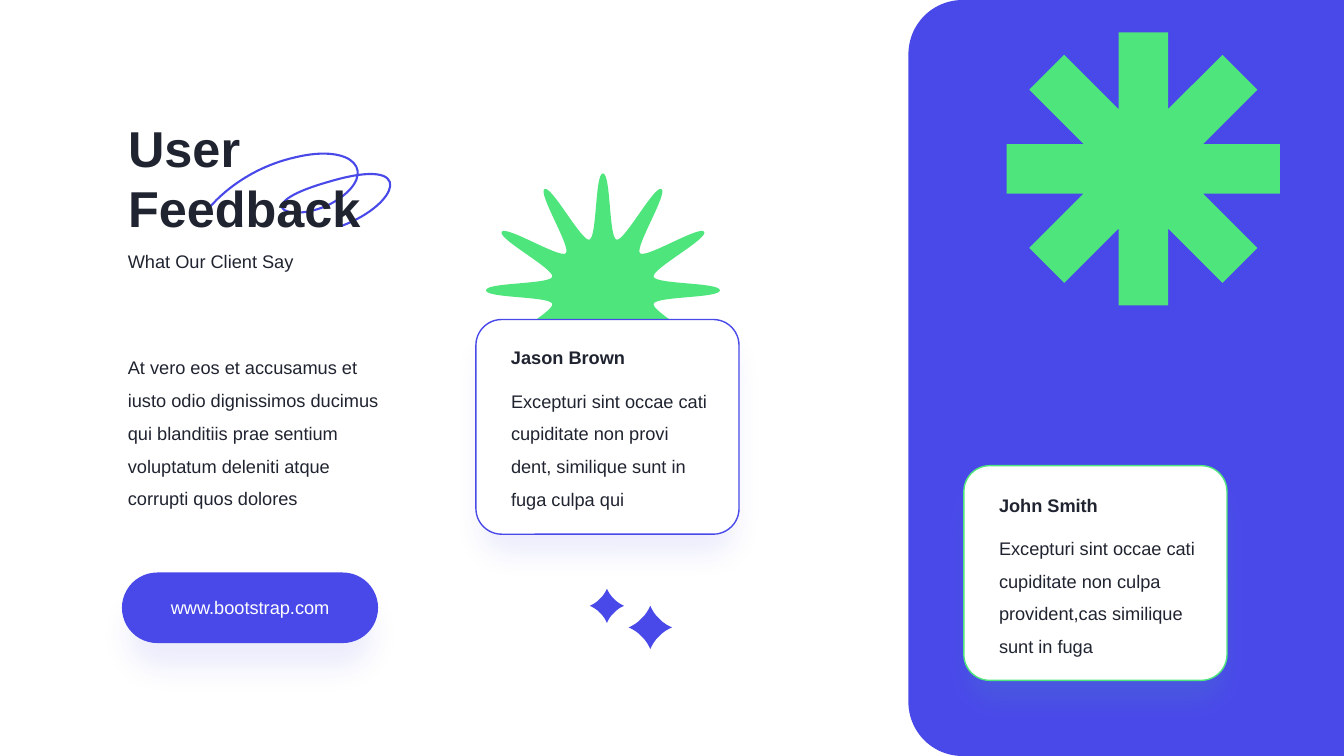
import math

from lxml import etree
from pptx import Presentation
from pptx.dml.color import RGBColor
from pptx.enum.shapes import MSO_SHAPE
from pptx.enum.text import MSO_ANCHOR, MSO_AUTO_SIZE, PP_ALIGN
from pptx.oxml.ns import qn
from pptx.util import Inches, Pt

ROUNDED = MSO_SHAPE.ROUNDED_RECTANGLE
TOP_ROUNDED = MSO_SHAPE.ROUND_2_SAME_RECTANGLE
LEFT, CENTER = PP_ALIGN.LEFT, PP_ALIGN.CENTER
TOP = MSO_ANCHOR.TOP
GROW = MSO_AUTO_SIZE.SHAPE_TO_FIT_TEXT

BLUE = RGBColor(0x49, 0x49, 0xEA)
GREEN = RGBColor(0x4E, 0xE5, 0x7C)
DARK = RGBColor(0x20, 0x24, 0x30)
WHITE = RGBColor(0xFF, 0xFF, 0xFF)
FONT = "Arial"


def turned(center, angle, along, across):
    """Point at a distance along and across the ray that leaves center at angle (degrees)."""
    cos, sin = math.cos(math.radians(angle)), math.sin(math.radians(angle))
    return (center[0] + along * cos - across * sin, center[1] + along * sin + across * cos)


def bend(shape, points, box):
    """Turn the outline into cubic curves (a start, then three points for each) inside box."""
    shape.left, shape.top, shape.width, shape.height = box
    outline = shape.element.spPr.find(".//" + qn("a:path"))
    outline.set("w", str(box[2]))
    outline.set("h", str(box[3]))
    for element in list(outline):
        outline.remove(element)
    groups = [points[:1]] + [points[i:i + 3] for i in range(1, len(points), 3)]
    for group in groups:
        tag = "a:moveTo" if len(group) == 1 else "a:cubicBezTo"
        segment = etree.SubElement(outline, qn(tag))
        for x, y in group:
            etree.SubElement(segment, qn("a:pt"), x=str(x - box[0]), y=str(y - box[1]))
    if points[0] == points[-1]:
        etree.SubElement(outline, qn("a:close"))


presentation = Presentation()
presentation.slide_width = Inches(13.33)
presentation.slide_height = Inches(7.5)
slide = presentation.slides.add_slide(presentation.slide_layouts[5])
shapes = slide.shapes

# Outlines of the decorations; the swirl is turned by 180 degrees when placed
swirl = [
    (2.54, 1.52), (1.98, 1.73), (1.78, 2.22), (2.66, 1.96), (3.55, 1.71), (2.99, 1.51),
    (2.58, 1.78), (2.18, 2.05), (2.42, 2.34), (3, 2.2), (3.58, 2.07), (3.87, 1.68),
    (3.87, 1.68)]

burst_center, burst = (5.98, 2.88), [(4.82, 2.88)]
for angle in range(180, 540, 30):
    for along, across, turn in ((1.16, 0.08, 0), (0.52, -0.08, 15), (0.52, 0, 15),
                                (0.52, 0.08, 15), (1.16, -0.08, 30), (1.16, 0, 30)):
        burst.append(turned(burst_center, angle + turn, along, across))

arm_half = 0.245
arm_gap = arm_half / math.tan(math.radians(22.5))
asterisk = []
for angle in range(0, 360, 45):
    for along, across in ((1.355, -arm_half), (1.355, arm_half), (arm_gap, arm_half)):
        asterisk.append(turned((11.34, 1.675), angle, along, across))

sparkles = []
for center, radius in (((6.45, 6.225), 0.215), ((6.02, 6.01), 0.17)):
    sparkle = [turned(center, -90, radius, 0)]
    for angle in range(-90, 270, 90):
        for along, across in ((0.82, 0.08), (0.59, 0.2), (0.41, 0.41),
                              (0.2, 0.59), (0.08, 0.82), (0, 1)):
            sparkle.append(turned(center, angle, along * radius, across * radius))
    sparkles.append(sparkle)

# Panel and decorations
panel = shapes.add_shape(TOP_ROUNDED, Inches(7.42), Inches(1.59), Inches(7.5), Inches(4.32))
panel.rotation = 270
panel.adjustments[0] = 0.124
panel.shadow.inherit = False
panel.fill.solid()
panel.fill.fore_color.rgb = BLUE
panel.line.fill.background()

for outline, fill in ((swirl, None), (burst, GREEN), (asterisk, GREEN),
                      (sparkles[0], BLUE), (sparkles[1], BLUE)):
    points = [(Inches(x), Inches(y)) for x, y in outline]
    corners = points if outline is asterisk else points[::3]
    builder = shapes.build_freeform(*corners[0])
    builder.add_line_segments(corners[1:], close=fill is not None)
    decoration = builder.convert_to_shape()
    decoration.shadow.inherit = False
    if fill is None:
        bend(decoration, points, (Inches(2.06), Inches(1.52), Inches(1.81), Inches(0.72)))
        decoration.rotation = 180
        decoration.fill.background()
        decoration.line.color.rgb = BLUE
        decoration.line.width = Pt(1.5)
    else:
        if outline is not asterisk:
            bend(decoration, points,
                 (decoration.left, decoration.top, decoration.width, decoration.height))
        decoration.fill.solid()
        decoration.fill.fore_color.rgb = fill
        decoration.line.fill.background()

# Button and cards with soft shadows
for left, top, width, height, corner, fill, border, glow in (
        (1.21, 5.68, 2.54, 0.7, 0.5, BLUE, None, BLUE),
        (4.72, 3.17, 2.61, 2.13, 0.12, WHITE, BLUE, BLUE),
        (9.56, 4.62, 2.61, 2.13, 0.12, WHITE, GREEN, GREEN)):
    card = shapes.add_shape(ROUNDED, Inches(left), Inches(top), Inches(width), Inches(height))
    card.adjustments[0] = corner
    card.fill.solid()
    card.fill.fore_color.rgb = fill
    if border is None:
        card.line.fill.background()
    else:
        card.line.color.rgb = border
        card.line.width = Pt(1)
    card.shadow.inherit = False
    effects = card.element.spPr.find(qn("a:effectLst"))
    shadow = etree.SubElement(effects, qn("a:outerShdw"), blurRad=str(Pt(20)), dist=str(Pt(20)),
                              dir="5400000", sx="95000", sy="95000", algn="t", rotWithShape="0")
    color = etree.SubElement(shadow, qn("a:srgbClr"), val=str(glow))
    etree.SubElement(color, qn("a:alpha"), val="10000")

# Title, above the swirl
title = shapes.title
shapes._spTree.append(title.element)
title.left, title.top = Inches(1.17), Inches(1.11)
title.width, title.height = Inches(3.42), Inches(1.31)
title.text_frame.word_wrap = True
title.text_frame.auto_size = GROW
title.text_frame.vertical_anchor = TOP
paragraph = title.text_frame.paragraphs[0]
paragraph.alignment = LEFT
run = paragraph.add_run()
run.text = "User Feedback"
run.font.name, run.font.size, run.font.bold = FONT, Pt(36), True
run.font.color.rgb = DARK

# Texts: position, size, wrapped, bold, alignment, colour, wording
for left, top, width, height, wrapped, bold, alignment, color, wording in (
        (1.17, 2.43, 1.94, 0.32, False, False, LEFT, DARK, "What Our Client Say"),
        (1.17, 3.38, 2.75, 1.71, True, False, LEFT, DARK,
         "At vero eos et accusamus et iusto odio dignissimos ducimus qui blanditiis "
         "prae sentium voluptatum deleniti atque corrupti quos dolores"),
        (1.45, 5.87, 2.06, 0.32, False, False, CENTER, WHITE, "www.bootstrap.com"),
        (4.97, 3.39, 1.4, 0.32, False, True, LEFT, DARK, "Jason Brown"),
        (4.97, 3.71, 2.19, 1.38, True, False, LEFT, DARK,
         "Excepturi sint occae cati cupiditate non provi dent, similique sunt in fuga culpa qui"),
        (9.81, 4.85, 1.25, 0.32, False, True, LEFT, DARK, "John Smith"),
        (9.81, 5.17, 2.19, 1.38, True, False, LEFT, DARK,
         "Excepturi sint occae cati cupiditate non culpa provident,cas similique sunt in fuga")):
    box = shapes.add_textbox(Inches(left), Inches(top), Inches(width), Inches(height))
    box.text_frame.word_wrap = wrapped
    box.text_frame.auto_size = GROW
    paragraph = box.text_frame.paragraphs[0]
    paragraph.alignment = alignment
    if wrapped:
        paragraph.line_spacing = 1.5
    run = paragraph.add_run()
    run.text = wording
    run.font.name, run.font.size, run.font.bold = FONT, Pt(13), bold
    run.font.color.rgb = color

presentation.save("out.pptx")
